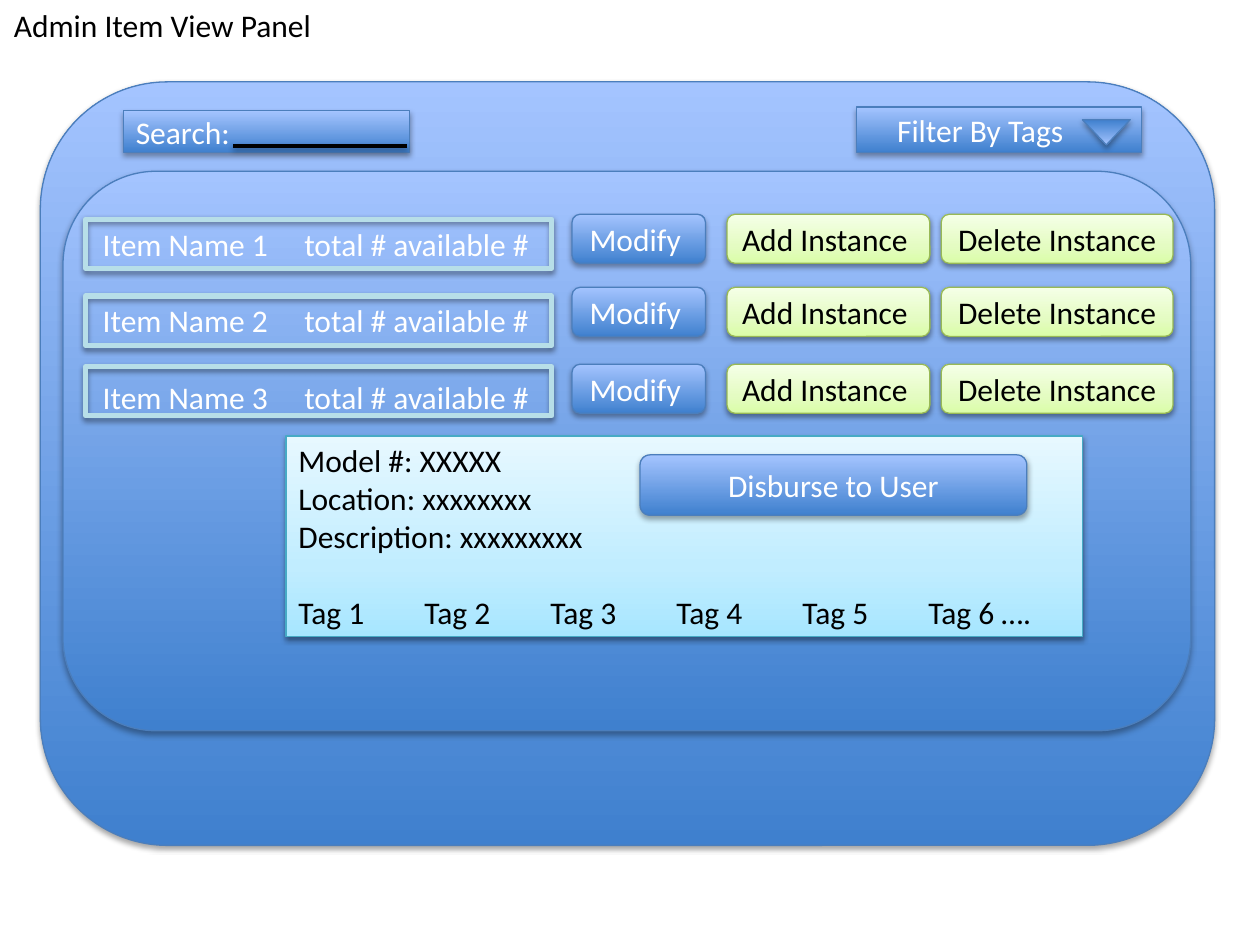
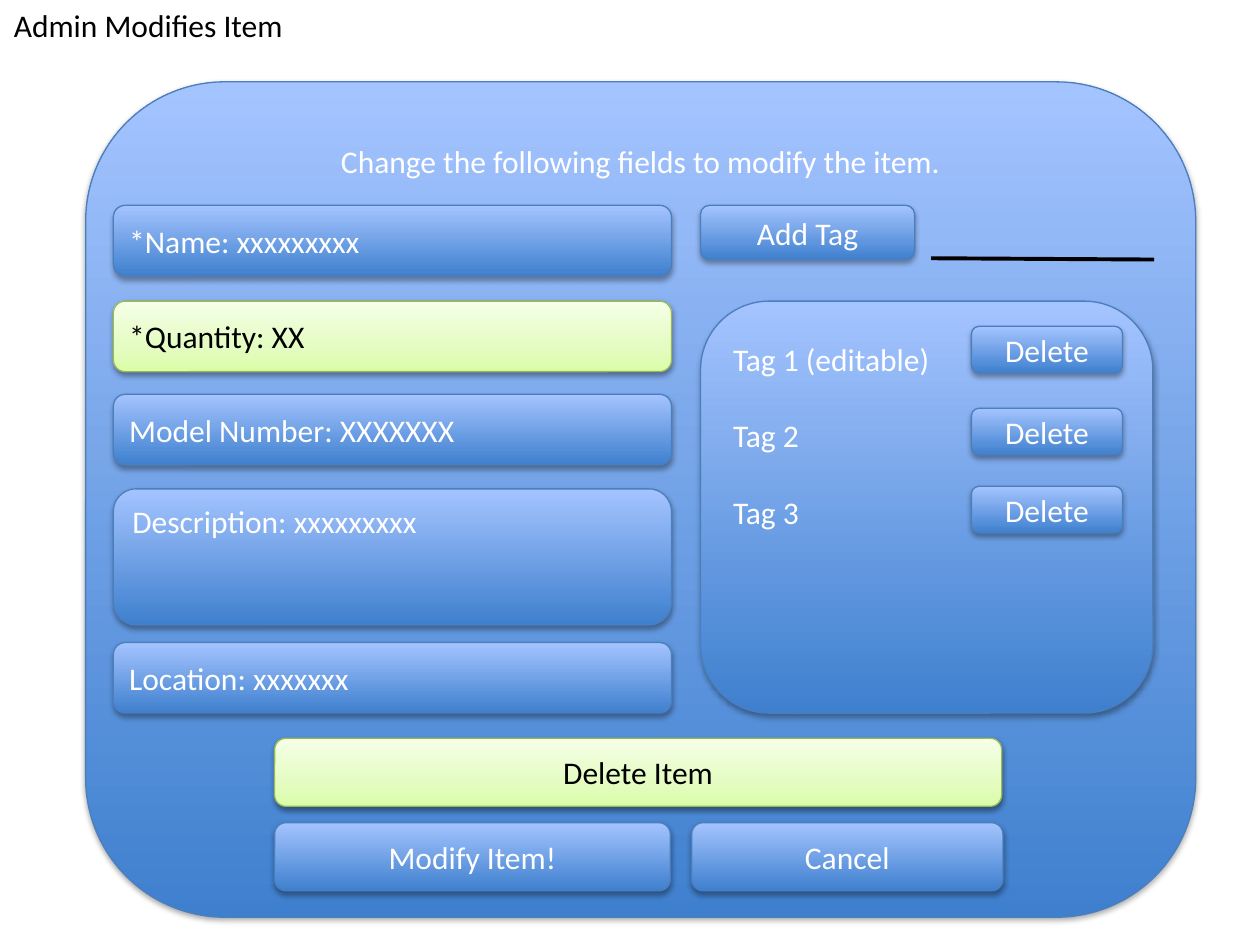
from dataclasses import dataclass
from pptx import Presentation
from pptx.dml.color import RGBColor
from pptx.enum.shapes import MSO_CONNECTOR, MSO_SHAPE
from pptx.enum.text import MSO_ANCHOR, MSO_AUTO_SIZE, PP_ALIGN
from pptx.oxml import parse_xml
from pptx.oxml.ns import nsdecls, qn
from pptx.util import Emu, Inches, Pt

ROUND, RECT = MSO_SHAPE.ROUNDED_RECTANGLE, MSO_SHAPE.RECTANGLE
ARROW, LINE = MSO_SHAPE.ISOSCELES_TRIANGLE, MSO_CONNECTOR.STRAIGHT
LEFT, MID = PP_ALIGN.LEFT, PP_ALIGN.CENTER
TOP, CORE = MSO_ANCHOR.TOP, MSO_ANCHOR.MIDDLE
NS = nsdecls("a")


@dataclass(frozen=True)
class Skin:
    stops: tuple    # (percent, colour), bottom to top; empty for no fill
    edge: str
    ink: str = "000000"
    width: float = 0.75
    alpha: int = 38
    drop: int = 20000


class Theme:
    font, size, gap = "Calibri", 18, 22
    ink = "000000"
    blue = Skin(((0, "3F80CE"), (100, "A4C4FF")), "4B7EBC", "FFFFFF",
                alpha=35, drop=23000)
    lime = Skin(((0, "DAFDA7"), (35, "E4FCC2"), (100, "F5FFE7")), "98B955")
    aqua = Skin(((0, "A7E6FF"), (35, "C1EDFF"), (100, "E7F8FF")), "46AAC5")
    frame = Skin((), "B7DEE8", width=3)


# Content: item view
ITEMS = [f"Item Name {n}\ttotal # available #" for n in (1, 2, 3)]
ROWS = [(1.74, 1.7), (2.35, 2.28), (2.91, 2.89)]    # frame top, button top
ACTS = [("Modify ", 4.54, 1.06, Theme.blue),
        ("Add Instance ", 5.77, 1.61, Theme.lime),
        ("Delete Instance ", 7.47, 1.84, Theme.lime)]
FACTS = ["Model #: XXXXX", "Location: xxxxxxxx", "Description: xxxxxxxxx"]
TAGS = "\t".join(f"Tag {n}" for n in range(1, 7)) + " …."

# Content: item form, (text, top, height, skin)
FIELDS = [("*Name: xxxxxxxxx", 1.63, 0.56, Theme.blue),
          ("*Quantity: XX", 2.39, 0.56, Theme.lime),
          ("Model Number: XXXXXXX", 3.13, 0.56, Theme.blue),
          ("Location: xxxxxxx", 5.1, 0.56, Theme.blue)]
LABELS = ["Tag 1 (editable)", "Tag 2", "Tag 3"]
DELS = [2.59, 3.24, 3.86]
COL, WIDE, SIDE = 0.9, 4.43, 5.56
BARS = [("Delete Item", 2.18, 5.86, 5.77, Theme.lime),
        ("Modify Item!", 2.18, 6.53, 3.14, Theme.blue),
        ("Cancel", 5.49, 6.53, 2.47, Theme.blue)]


# Text and effects
def write(frame, lines, ink, align=LEFT, gaps=(), tab=None):
    for i, text in enumerate(lines):
        para = frame.paragraphs[0] if i == 0 else frame.add_paragraph()
        para.alignment = align
        if i in gaps:
            para.space_before = Pt(Theme.gap)
        if tab:
            para._p.get_or_add_pPr().append(parse_xml(
                f'<a:tabLst {NS}><a:tab pos="{Inches(tab)}" algn="l"/></a:tabLst>'))
        run = para.add_run()
        run.text = text
        run.font.name, run.font.size = Theme.font, Pt(Theme.size)
        run.font.color.rgb = RGBColor.from_string(ink)


def shade(skin):
    return parse_xml(
        f'<a:outerShdw {NS} blurRad="40000" dist="{skin.drop}" dir="5400000" '
        f'rotWithShape="0"><a:srgbClr val="000000"><a:alpha '
        f'val="{skin.alpha * 1000}"/></a:srgbClr></a:outerShdw>')


# Shapes
def box(slide, at, skin, lines=(), kind=ROUND, align=LEFT, anchor=CORE,
        pad=(0.1, 0.05), **opts):
    shape = slide.shapes.add_shape(kind, *map(Inches, at))
    if skin.stops:
        shape.fill.gradient()
        shape.fill.gradient_angle = 90
        ramp = shape.element.spPr.find(".//" + qn("a:gsLst"))
        for old in list(ramp):
            ramp.remove(old)
        for pos, tint in skin.stops:
            ramp.append(parse_xml(f'<a:gs {NS} pos="{pos * 1000}">'
                                  f'<a:srgbClr val="{tint}"/></a:gs>'))
    else:
        shape.fill.background()
    shape.line.color.rgb = RGBColor.from_string(skin.edge)
    shape.line.width = Pt(skin.width)
    shape.shadow.inherit = False
    shape.element.spPr.find(qn("a:effectLst")).append(shade(skin))
    frame = shape.text_frame
    frame.word_wrap, frame.vertical_anchor = True, anchor
    frame.margin_left, frame.margin_top = map(Inches, pad)
    write(frame, lines, skin.ink, align, **opts)
    return shape


def button(slide, text, at, skin=Theme.blue):
    box(slide, at, skin, [text], align=MID)


def rule(slide, ends, width, skin=None):
    line = slide.shapes.add_connector(LINE, *map(Inches, ends))
    line.line.color.rgb = RGBColor.from_string(Theme.ink)
    line.line.width = Pt(width)
    glow = parse_xml(f"<a:effectLst {NS}/>")
    if skin:
        glow.append(shade(skin))
    line.element.spPr.append(glow)


def page(deck, title, wide):
    slide = deck.slides.add_slide(deck.slide_layouts[5])
    head = slide.shapes.title
    head.left, head.top, head.width, head.height = map(Inches, (0.01, 0, wide, 0.4))
    frame = head.text_frame
    frame.auto_size, frame.word_wrap = MSO_AUTO_SIZE.NONE, False
    frame.vertical_anchor = TOP
    write(frame, [title], Theme.ink)
    return slide


# Slides
def view(deck):
    slide = page(deck, "Admin Item View Panel", 2.59)
    box(slide, (0.32, 0.65, 9.32, 6.06), Theme.blue)
    box(slide, (0.5, 1.36, 8.95, 4.44), Theme.blue, ITEMS, anchor=TOP,
        pad=(0.1, 0.21), gaps=(1, 2), tab=1.6)
    for edge, top in ROWS:
        box(slide, (0.68, edge, 3.7, 0.39), Theme.frame, kind=RECT)
        for text, left, wide, skin in ACTS:
            button(slide, text, (left, top, wide, 0.39), skin)

    # Details of the open item
    box(slide, (2.27, 3.46, 6.32, 1.59), Theme.aqua, FACTS + [TAGS],
        kind=RECT, gaps=(len(FACTS),))
    button(slide, "Disburse to User", (5.08, 3.61, 3.07, 0.48))

    # Search and filter
    box(slide, (0.98, 0.88, 2.27, 0.33), Theme.blue, ["Search:"], kind=RECT)
    rule(slide, (1.85, 1.16, 3.23, 1.16), 2, Theme.frame)
    box(slide, (6.8, 0.85, 2.26, 0.36), Theme.blue, ["Filter By Tags"],
        kind=RECT, pad=(0.32, 0.05))
    box(slide, (8.59, 0.95, 0.38, 0.2), Theme.blue, kind=ARROW).rotation = 180


def form(deck):
    slide = page(deck, "Admin Modifies Item", 2.36)
    box(slide, (0.68, 0.65, 8.81, 6.63), Theme.blue,
        ["Change the following fields to modify the item."],
        align=MID, anchor=TOP, pad=(0.1, 0.15))
    for text, top, high, skin in FIELDS:
        box(slide, (COL, top, WIDE, high), skin, [text])
    box(slide, (COL, 3.88, WIDE, 1.08), Theme.blue,
        ["Description: xxxxxxxxx"], anchor=TOP)

    # Tags
    button(slide, "Add Tag", (SIDE, 1.63, 1.7, 0.43))
    rule(slide, (7.39, 2.05, 9.16, 2.06), 2.25)
    box(slide, (SIDE, 2.39, 3.59, 3.27), Theme.blue, LABELS, anchor=TOP,
        pad=(0.1, 0.15), gaps=(1, 2))
    for top in DELS:
        button(slide, "Delete", (7.71, top, 1.2, 0.37))

    # Final choices
    for text, left, top, wide, skin in BARS:
        button(slide, text, (left, top, wide, 0.54), skin)


def main():
    deck = Presentation()
    deck.slide_width, deck.slide_height = Emu(Inches(10)), Emu(Inches(7.5))
    view(deck)
    form(deck)
    deck.save("out.pptx")


if __name__ == "__main__":
    main()
